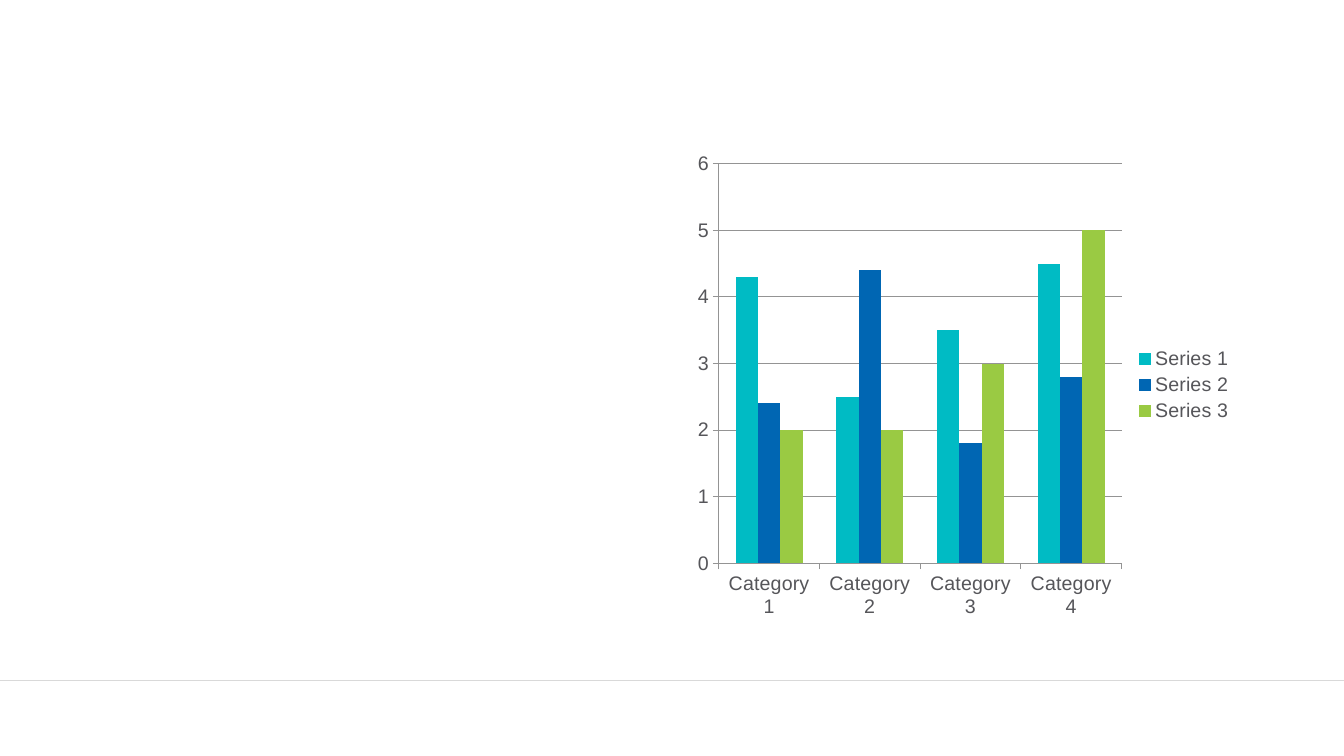
import pptx
import pptx.util
import pptx.chart.data
import pptx.dml.color
import pptx.enum.chart
import pptx.enum.shapes
import lxml.etree

THEME = {
    "font": "Arial",
    "size": 14,
    "text": "56565A",
    "rule": "D9D9D9",
    "axis": "949494",
    "bars": ["00BBC4", "0066B3", "9ACA43"],
}
SERIES = {
    "Series 1": (4.3, 2.5, 3.5, 4.5),
    "Series 2": (2.4, 4.4, 1.8, 2.8),
    "Series 3": (2, 2, 3, 5),
}


def color(code):
    return pptx.dml.color.RGBColor.from_string(code)


def draw(line, code, width):
    line.color.rgb = color(code)
    line.width = pptx.util.Pt(width)


inch = pptx.util.Inches
deck = pptx.Presentation()
deck.slide_width, deck.slide_height = inch(13.33), inch(7.5)
slide = deck.slides.add_slide(deck.slide_layouts[6])

# Footer rule
level = int(deck.slide_height * 0.9)
rule = slide.shapes.add_connector(
    pptx.enum.shapes.MSO_CONNECTOR.STRAIGHT, 0, level, deck.slide_width, level)
draw(rule.line, THEME["rule"], 0.25)
lxml.etree.SubElement(rule.element.spPr, pptx.oxml.ns.qn("a:effectLst"))

# Column chart
data = pptx.chart.data.CategoryChartData()
data.categories = [f"Category {n}" for n in range(1, 5)]
for name, values in SERIES.items():
    data.add_series(name, values)
chart = slide.shapes.add_chart(
    pptx.enum.chart.XL_CHART_TYPE.COLUMN_CLUSTERED,
    inch(6.81), inch(1.42), inch(5.52), inch(4.8), data).chart
chart.has_title = False
chart.font.name = THEME["font"]
chart.font.size = pptx.util.Pt(THEME["size"])
chart.font.color.rgb = color(THEME["text"])

chart.has_legend = True
chart.legend.position = pptx.enum.chart.XL_LEGEND_POSITION.RIGHT
chart.legend.include_in_layout = False

plot = chart.plots[0]
plot.gap_width = 150
plot.overlap = 0
plot.vary_by_categories = False
for series, code in zip(plot.series, THEME["bars"]):
    series.format.fill.solid()
    series.format.fill.fore_color.rgb = color(code)

for axis in (chart.category_axis, chart.value_axis):
    axis.major_tick_mark = pptx.enum.chart.XL_TICK_MARK.OUTSIDE
    axis.minor_tick_mark = pptx.enum.chart.XL_TICK_MARK.NONE
    draw(axis.format.line, THEME["axis"], 0.75)
scale = chart.value_axis
scale.minimum_scale, scale.maximum_scale, scale.major_unit = 0, 6, 1
scale.has_major_gridlines = True
draw(scale.major_gridlines.format.line, THEME["axis"], 0.75)

deck.save("out.pptx")
